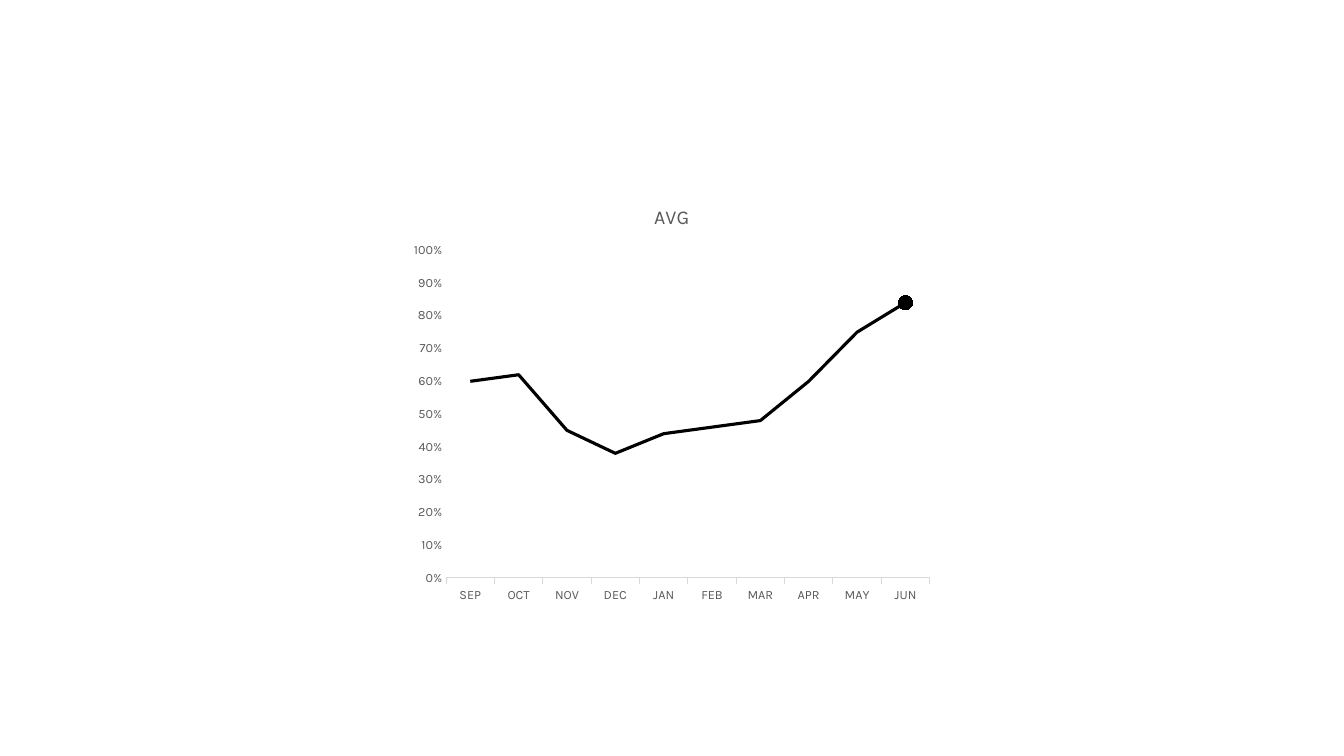
from dataclasses import dataclass

from lxml.etree import SubElement
from pptx import Presentation
from pptx.chart.data import CategoryChartData
from pptx.dml.color import RGBColor
from pptx.enum.chart import XL_CHART_TYPE, XL_MARKER_STYLE, XL_TICK_MARK
from pptx.oxml import parse_xml
from pptx.oxml.ns import nsdecls, qn
from pptx.util import Cm, Pt


@dataclass(frozen=True)
class Theme:
    font: str = "Karla"
    ink: RGBColor = RGBColor(0, 0, 0)
    label: RGBColor = RGBColor(0x59, 0x59, 0x59)
    axis: RGBColor = RGBColor(0xD9, 0xD9, 0xD9)
    title_size: Pt = Pt(14)
    label_size: Pt = Pt(9)
    base_size: Pt = Pt(10)
    series_width: Pt = Pt(2.25)
    axis_width: Pt = Pt(0.75)
    marker_size: int = 10


THEME = Theme()
MONTHS = ["SEP", "OCT", "NOV", "DEC", "JAN", "FEB", "MAR", "APR", "MAY", "JUN"]
AVERAGES = [0.6, 0.62, 0.45, 0.38, 0.44, 0.46, 0.48, 0.6, 0.75, 0.84]
PLOT_AREA = {"x": 0.08, "y": 0.15, "w": 0.9, "h": 0.77}


def set_values(target, values):
    for name, value in values.items():
        setattr(target, name, value)


def style_font(font, size, color):
    set_values(font, {"name": THEME.font, "size": size, "bold": False})
    font.color.rgb = color


def style_line(line, color, width):
    line.color.rgb = color
    line.width = width


def style_axis(axis, values):
    set_values(axis, {"has_major_gridlines": False, "has_minor_gridlines": False,
                      "minor_tick_mark": XL_TICK_MARK.NONE, **values})
    style_font(axis.tick_labels.font, THEME.label_size, THEME.label)


def add_chart_title(chart, text):
    chart.has_title = True
    chart.chart_title.include_in_layout = False
    frame = chart.chart_title.text_frame
    frame.text = text
    style_font(frame.paragraphs[0].runs[0].font, THEME.title_size, THEME.label)


def place_plot_area(chart, fractions):
    """Fix the inner plot area as fractions of the chart."""
    plot_area = chart._chartSpace.chart.plotArea
    for layout in plot_area.findall(qn("c:layout")):
        plot_area.remove(layout)
    layout = parse_xml(f"<c:layout {nsdecls('c')}><c:manualLayout/></c:layout>")
    settings = {"layoutTarget": "inner", "xMode": "edge", "yMode": "edge", **fractions}
    for name, value in settings.items():
        SubElement(layout[0], qn(f"c:{name}")).set("val", str(value))
    plot_area.insert(0, layout)


def mark_last_point(series, count):
    point = series.points[count - 1]
    style_line(point.format.line, THEME.ink, THEME.series_width)
    set_values(point.marker, {"style": XL_MARKER_STYLE.CIRCLE, "size": THEME.marker_size})
    point.marker.format.fill.solid()
    point.marker.format.fill.fore_color.rgb = THEME.ink
    style_line(point.marker.format.line, THEME.ink, THEME.axis_width)


def add_line_chart(slide, name, categories, values):
    data = CategoryChartData(number_format="0%")
    data.categories = categories
    data.add_series(name, values)
    chart = slide.shapes.add_chart(
        XL_CHART_TYPE.LINE, Cm(10.16), Cm(4.7), Cm(13.54), Cm(10.72), data).chart
    chart.has_legend = False
    style_font(chart.font, THEME.base_size, THEME.ink)
    add_chart_title(chart, name)
    place_plot_area(chart, PLOT_AREA)

    # Axes
    style_axis(chart.category_axis, {"major_tick_mark": XL_TICK_MARK.OUTSIDE})
    style_line(chart.category_axis.format.line, THEME.axis, THEME.axis_width)
    style_axis(chart.value_axis, {
        "major_tick_mark": XL_TICK_MARK.NONE,
        "minimum_scale": 0, "maximum_scale": 1, "major_unit": 0.1})
    set_values(chart.value_axis.tick_labels,
               {"number_format": "0%", "number_format_is_linked": False})
    chart.value_axis.format.line.fill.background()

    # Series
    chart.plots[0].vary_by_categories = False
    series = chart.plots[0].series[0]
    series.smooth = False
    style_line(series.format.line, THEME.ink, THEME.series_width)
    mark_last_point(series, len(values))


def main():
    presentation = Presentation()
    set_values(presentation, {"slide_width": Cm(33.87), "slide_height": Cm(19.05)})
    slide = presentation.slides.add_slide(presentation.slide_layouts[6])
    add_line_chart(slide, "AVG", MONTHS, AVERAGES)
    presentation.save("out.pptx")


main()
